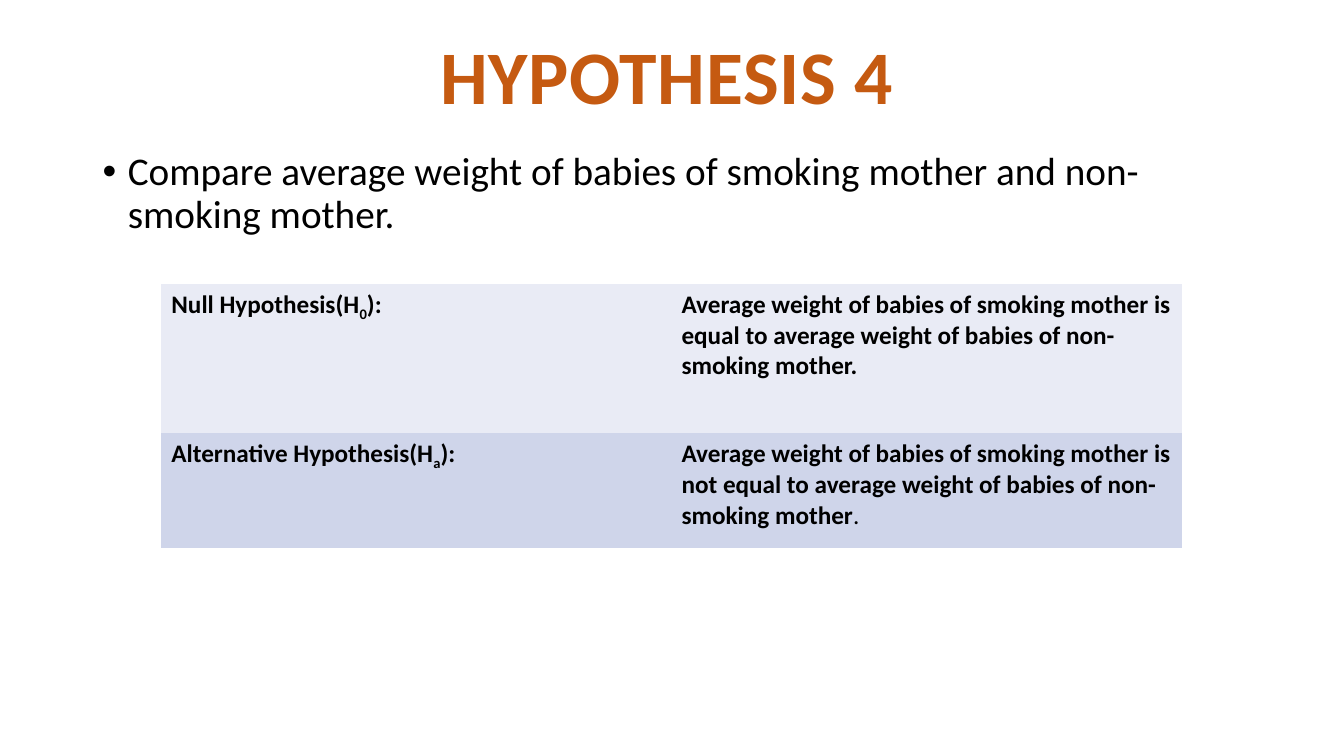
"""Build the Hypothesis 4 slide: a title, a bullet and a table of two hypotheses."""
from pptx import Presentation
from pptx.dml.color import RGBColor
from pptx.enum.text import MSO_ANCHOR, MSO_AUTO_SIZE, PP_ALIGN
from pptx.oxml import parse_xml
from pptx.oxml.ns import nsdecls
from pptx.util import Inches, Pt

TITLE = "HYPOTHESIS 4"
BULLET = ("Compare average weight of babies of smoking mother "
          "and non-smoking mother.")
BOLD, SUB, PLAIN = {"bold": True}, {"bold": True, "sub": True}, {"bold": False}
ROWS = [
    {"height": 1.48, "fill": "E9EBF5", "cells": [
        [("Null Hypothesis(H", BOLD), ("0", SUB), ("): ", BOLD)],
        [("Average weight of babies of smoking mother is equal to "
          "average weight of babies of non-smoking mother.", BOLD)]]},
    {"height": 1.14, "fill": "CFD5EA", "cells": [
        [("Alternative Hypothesis(H", BOLD), ("a", SUB), ("): ", BOLD)],
        [("Average weight of babies of smoking mother is not equal to "
          "average weight of babies of non-smoking mother", BOLD),
         (".", PLAIN)]]},
]
TITLE_BOX = (1.18, 0.24, 10.87, 1.01)
BODY_BOX = (0.92, 1.46, 11.5, 4.76)
TABLE_LEFT, TABLE_TOP, COL_WIDTH, COLS = 1.6, 2.82, 5.06, 2
PLAIN_TABLE_STYLE = "{2D5ABB26-0587-4C30-8999-92F81FD0307C}"


def rgb(value):
    """Turn a hex string into a colour."""
    return RGBColor.from_string(value)


def put(obj, values):
    """Set attributes of an object from a dict."""
    for name, value in values.items():
        setattr(obj, name, value)


def add_run(p, text, size, color="000000", bold=False, sub=False):
    """Add a formatted run to a paragraph."""
    r = p.add_run()
    r.text = text
    put(r.font, {"size": Pt(size), "name": "Calibri", "bold": bold})
    r.font.color.rgb = rgb(color)
    if sub:
        r.font._element.set("baseline", "-25000")
    return r


prs = Presentation()
put(prs, {"slide_width": Inches(13.33), "slide_height": Inches(7.5)})
s = prs.slides.add_slide(prs.slide_layouts[5])

sp = s.shapes.title
put(sp, dict(zip(("left", "top", "width", "height"), map(Inches, TITLE_BOX))))
put(sp.text_frame, {"word_wrap": True, "auto_size": MSO_AUTO_SIZE.NONE,
                    "vertical_anchor": MSO_ANCHOR.TOP})
p = sp.text_frame.paragraphs[0]
p.alignment = PP_ALIGN.CENTER
r = add_run(p, TITLE, 54, "C55A11", bold=True)
r.font._element.set("spc", "50")

tf = s.shapes.add_textbox(*map(Inches, BODY_BOX)).text_frame
tf.word_wrap = True
p = tf.paragraphs[0]
put(p, {"line_spacing": 0.9, "space_before": Pt(10)})
pPr = p._p.get_or_add_pPr()
pPr.set("marL", str(Inches(0.25)))
pPr.set("indent", str(-Inches(0.25)))
for bullet in ('<a:buFont %s typeface="Arial"/>', '<a:buChar %s char="•"/>'):
    pPr.append(parse_xml(bullet % nsdecls("a")))
add_run(p, BULLET, 28)

height = sum(row["height"] for row in ROWS)
frame = s.shapes.add_table(len(ROWS), COLS, *map(
    Inches, (TABLE_LEFT, TABLE_TOP, COLS * COL_WIDTH, height)))
table = frame.table
put(table, {"first_row": False, "horz_banding": False})
table._tbl.tblPr[0].text = PLAIN_TABLE_STYLE
for col in table.columns:
    col.width = Inches(COL_WIDTH)
for table_row, row in zip(table.rows, ROWS):
    table_row.height = Inches(row["height"])
    for cell, runs in zip(table_row.cells, row["cells"]):
        cell.fill.solid()
        cell.fill.fore_color.rgb = rgb(row["fill"])
        for text, style in runs:
            add_run(cell.text_frame.paragraphs[0], text, 18, **style)

prs.save("out.pptx")
